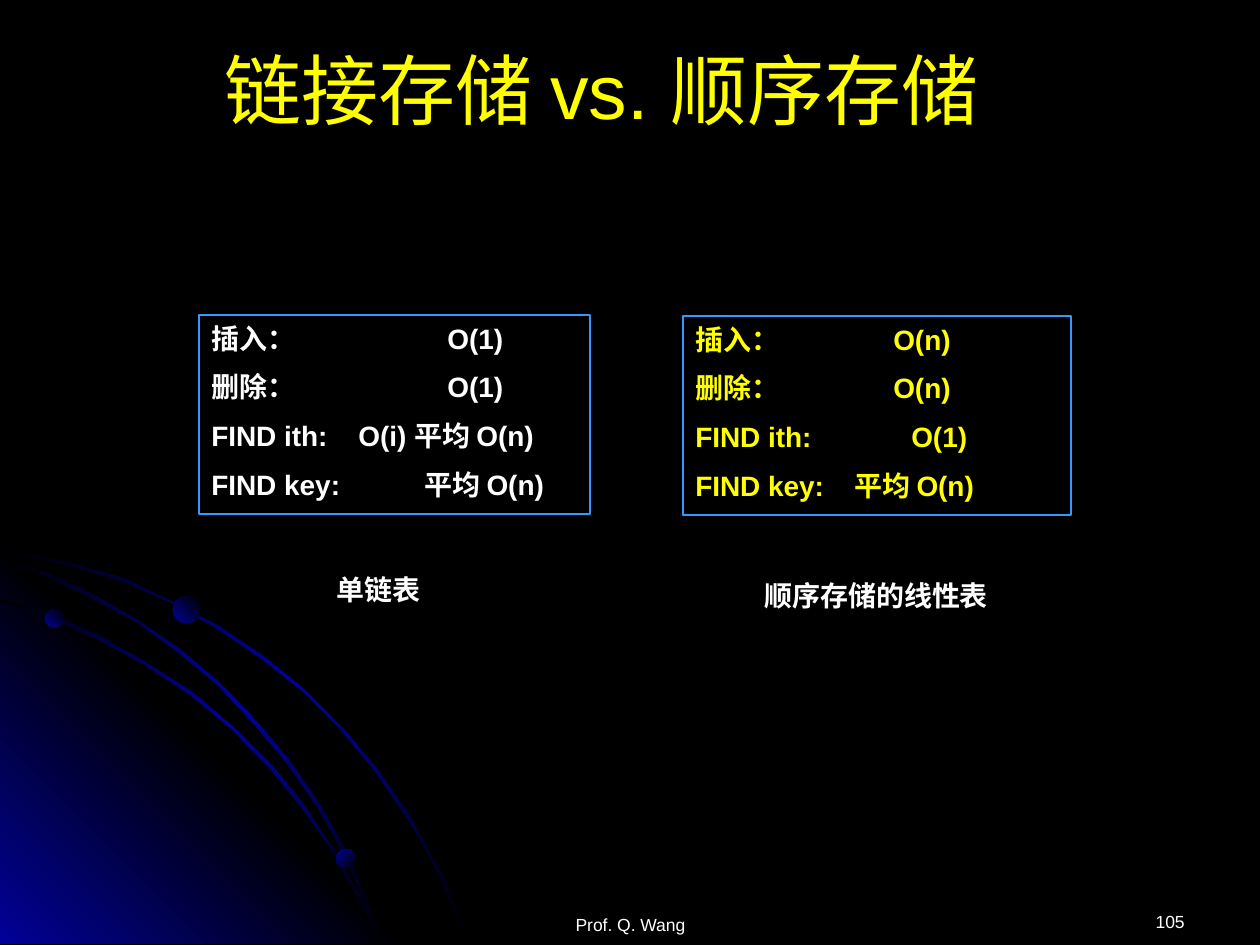
from lxml import etree
from pptx import Presentation, util as u
from pptx.dml.color import RGBColor
from pptx.enum import shapes, text
from pptx.oxml import ns

SCALE = 914400 / 126
BLACK, BLUE, YELLOW, WHITE, FRAME = "000000", "010199", "FFFF00", "FFFFFF", "3399FF"
CENTER, LEFT, RIGHT = text.PP_ALIGN.CENTER, text.PP_ALIGN.LEFT, text.PP_ALIGN.RIGHT

OUTER_ARC = [
    (72, 563), (35, 556), (0, 548), (0, 552), (35, 558), (71, 566), (122, 581),
    (170, 602), (218, 629), (262, 659), (304, 692), (341, 730), (375, 771),
    (407, 818), (425, 848), (441, 879), (454, 911), (466, 944), (469, 944),
    (456, 911), (444, 879), (427, 848), (410, 816), (378, 770), (343, 728),
    (305, 690), (263, 656), (219, 626), (171, 601), (123, 578),
]
CORNER = [(406, 944), (0, 944), (0, 538)]
INNER_ARC = [
    (359, 900), (370, 922), (379, 944), (382, 944), (373, 920), (360, 897),
    (335, 852), (305, 806), (271, 764), (232, 726), (192, 692), (147, 663),
    (100, 636), (52, 615), (0, 599), (0, 601), (49, 617), (97, 639),
    (145, 665), (189, 694), (231, 728), (268, 766), (302, 808), (334, 853),
]
MIDDLE_ARC = [
    (0, 557), (0, 559), (45, 576), (93, 599), (137, 622), (179, 653),
    (218, 685), (255, 725), (286, 762), (318, 808), (336, 840), (353, 874),
    (368, 910), (379, 944), (382, 944), (370, 907), (355, 873), (339, 838),
    (320, 805), (289, 760), (257, 722), (221, 684), (181, 650), (139, 621),
    (96, 596), (49, 573),
]
LINKED_COSTS = [
    ("插入：", "O(1)", 236),
    ("删除：", "O(1)", 236),
    ("FIND ith:", "O(i) 平均 O(n)", 147),
    ("FIND key:", "平均 O(n)", 213),
]
SEQUENTIAL_COSTS = [
    ("插入：", "O(n)", 198),
    ("删除：", "O(n)", 198),
    ("FIND ith:", "O(1)", 216),
    ("FIND key:", "平均 O(n)", 159),
]


def px(length):
    return u.Emu(round(length * SCALE))


def rgb(value):
    return RGBColor.from_string(value)


def fill_gradient(shape, colors, angle):
    shape.shadow.inherit = False
    shape.line.fill.background()
    shape.fill.gradient()
    shape.fill.gradient_angle = 360 - angle
    stops = shape.fill._fill._gradFill.find(ns.qn("a:gsLst"))
    for stop in list(stops):
        stops.remove(stop)
    for index, color in enumerate(colors):
        position = str(index * 100000 // (len(colors) - 1))
        stop = etree.SubElement(stops, ns.qn("a:gs"), pos=position)
        etree.SubElement(stop, ns.qn("a:srgbClr"), val=color)


def add_outline(slide, points, colors, angle):
    builder = slide.shapes.build_freeform(*points[0], scale=SCALE)
    builder.add_line_segments(points[1:], close=True)
    fill_gradient(builder.convert_to_shape(), colors, angle)


def add_bead(slide, left, top, size, angle):
    bead = slide.shapes.add_shape(
        shapes.MSO_SHAPE.OVAL, px(left), px(top), px(size), px(size))
    fill_gradient(bead, [BLUE, BLACK], angle)


def write(paragraph, words, size=16, color=WHITE, bold=False, align=LEFT, tab=None):
    if tab:
        stops = etree.SubElement(paragraph._p.get_or_add_pPr(), ns.qn("a:tabLst"))
        etree.SubElement(stops, ns.qn("a:tab"), pos=str(px(tab)), algn="l")
    paragraph.alignment = align
    run = paragraph.add_run()
    run.text = words
    run.font.name = "Arial"
    run.font.size = u.Pt(size)
    run.font.bold = bold
    run.font.color.rgb = rgb(color)


def add_label(slide, box, words, inset=6, anchor=text.MSO_ANCHOR.TOP, **style):
    frame = slide.shapes.add_textbox(*map(px, box)).text_frame
    frame.word_wrap = True
    frame.margin_top = px(inset)
    frame.vertical_anchor = anchor
    write(frame.paragraphs[0], words, **style)


def add_costs(slide, box, costs, color):
    panel = slide.shapes.add_shape(shapes.MSO_SHAPE.RECTANGLE, *map(px, box))
    panel.shadow.inherit = False
    panel.fill.background()
    panel.line.color.rgb = rgb(FRAME)
    panel.line.width = u.Pt(0.75)
    frame = panel.text_frame
    frame.word_wrap = True
    frame.vertical_anchor = text.MSO_ANCHOR.TOP
    for index, (operation, cost, tab) in enumerate(costs):
        paragraph = frame.add_paragraph() if index else frame.paragraphs[0]
        if index:
            paragraph.space_before = u.Pt(8.7)
        write(paragraph, f"{operation}\t{cost}", color=color, bold=True, tab=tab)


def add_backdrop(slide):
    slide.background.fill.solid()
    slide.background.fill.fore_color.rgb = rgb(BLACK)
    glow = [BLACK, BLUE, BLACK]
    add_outline(slide, OUTER_ARC, glow, 45)
    add_outline(slide, CORNER, [BLUE, BLACK, BLUE], 315)
    add_outline(slide, INNER_ARC, glow, 45)
    add_outline(slide, MIDDLE_ARC, glow, 45)
    add_bead(slide, 45, 609, 19, 315)
    add_bead(slide, 336, 849, 20, 45)
    add_bead(slide, 173, 596, 27, 315)


def main():
    deck = Presentation()
    deck.slide_width, deck.slide_height = px(1260), px(945)
    slide = deck.slides.add_slide(deck.slide_layouts[6])
    add_backdrop(slide)
    add_label(slide, (903, 883, 294, 63), "105", inset=28, size=10, align=RIGHT)
    add_label(slide, (431, 886, 399, 63), "Prof. Q. Wang", inset=28, size=10, align=CENTER)
    add_label(slide, (126, 42, 951, 93), "链接存储 vs. 顺序存储", size=44,
              color=YELLOW, align=CENTER, anchor=text.MSO_ANCHOR.MIDDLE)
    add_costs(slide, (199, 315, 391, 199), LINKED_COSTS, WHITE)
    add_costs(slide, (683, 316, 388, 199), SEQUENTIAL_COSTS, YELLOW)
    add_label(slide, (289, 567, 179, 47), "单链表", bold=True, align=CENTER)
    add_label(slide, (714, 573, 325, 47), "顺序存储的线性表", bold=True, align=CENTER)
    deck.save("out.pptx")


if __name__ == "__main__":
    main()
